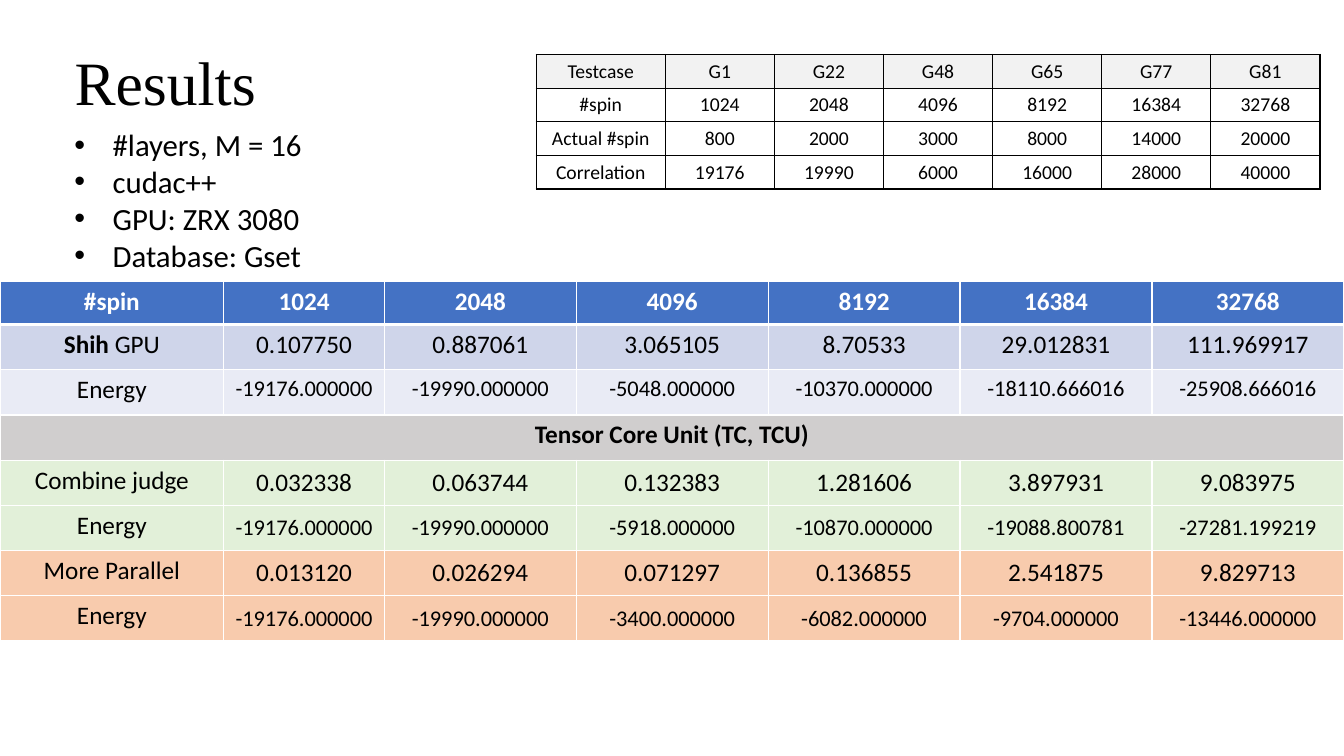
from pptx import Presentation
from pptx import util as u
from pptx.dml.color import RGBColor
from pptx.enum import text
from pptx.oxml import parse_xml
from pptx.oxml.ns import nsdecls

COLORS = {
    "black": "000000", "white": "FFFFFF", "header": "4472C4",
    "band": "CFD5EA", "pale_band": "E9EBF5", "grey": "D0CECE",
    "pale_grey": "F2F2F2", "green": "E2F0D9", "orange": "F8CBAD",
}
TOP, MIDDLE = text.MSO_ANCHOR.TOP, text.MSO_ANCHOR.MIDDLE
CENTER = text.PP_ALIGN.CENTER

SPINS = ["1024", "2048", "4096", "8192", "16384", "32768"]
TESTCASES = [
    ["Testcase", "G1", "G22", "G48", "G65", "G77", "G81"],
    ["#spin"] + SPINS,
    ["Actual #spin", "800", "2000", "3000", "8000", "14000", "20000"],
    ["Correlation", "19176", "19990", "6000", "16000", "28000", "40000"],
]
# Row values, fill, size of the numbers, anchor of the numbers
RESULTS = [
    (["GPU", "0.107750", "0.887061", "3.065105", "8.70533", "29.012831",
      "111.969917"], "band", 18, TOP),
    (["Energy", "-19176.000000", "-19990.000000", "-5048.000000",
      "-10370.000000", "-18110.666016", "-25908.666016"], "pale_band", 16, TOP),
    (["Tensor Core Unit (TC, TCU)"] + [""] * 6, "grey", 18, TOP),
    (["Combine judge", "0.032338", "0.063744", "0.132383", "1.281606",
      "3.897931", "9.083975"], "green", 18, MIDDLE),
    (["Energy", "-19176.000000", "-19990.000000", "-5918.000000",
      "-10870.000000", "-19088.800781", "-27281.199219"], "green", 16, MIDDLE),
    (["More Parallel", "0.013120", "0.026294", "0.071297", "0.136855",
      "2.541875", "9.829713"], "orange", 18, MIDDLE),
    (["Energy", "-19176.000000", "-19990.000000", "-3400.000000",
      "-6082.000000", "-9704.000000", "-13446.000000"], "orange", 16, MIDDLE),
]


def add_text(p, content, size=18, font="Calibri", color="black", bold=False):
    r = p.add_run()
    r.text = content
    r.font.size, r.font.name, r.font.bold = u.Pt(size), font, bold
    r.font.color.rgb = RGBColor.from_string(COLORS[color])


class Deck:
    """Builds one slide; all lengths are percentages of the slide's size."""

    def __init__(self):
        self.prs = Presentation()
        self.prs.slide_width, self.prs.slide_height = u.Inches(13.33), u.Inches(7.5)
        self.slide = self.prs.slides.add_slide(self.prs.slide_layouts[5])

    def x(self, share):
        return int(self.prs.slide_width * share / 100)

    def y(self, share):
        return int(self.prs.slide_height * share / 100)

    def box(self, left, top, width, height):
        return self.x(left), self.y(top), self.x(width), self.y(height)

    def title(self, content, *place):
        sp = self.slide.shapes.title
        sp.left, sp.top, sp.width, sp.height = self.box(*place)
        tf = sp.text_frame
        tf.auto_size = text.MSO_AUTO_SIZE.NONE
        tf.vertical_anchor = MIDDLE
        p = tf.paragraphs[0]
        p.alignment, p.line_spacing = text.PP_ALIGN.LEFT, 0.9
        add_text(p, content, size=44, font="Times New Roman")

    def bullets(self, items, *place):
        tf = self.slide.shapes.add_textbox(*self.box(*place)).text_frame
        tf.word_wrap = False
        tf.auto_size = text.MSO_AUTO_SIZE.SHAPE_TO_FIT_TEXT
        for i, item in enumerate(items):
            p = tf.add_paragraph() if i else tf.paragraphs[0]
            pPr = p._p.get_or_add_pPr()
            pPr.set("marL", str(u.Inches(0.38)))
            pPr.set("indent", str(u.Inches(-0.38)))
            pPr.append(parse_xml(f'<a:buFont {nsdecls("a")} typeface="Arial"/>'))
            pPr.append(parse_xml(f'<a:buChar {nsdecls("a")} char="•"/>'))
            add_text(p, item, size=22)

    def table(self, left, top, widths, heights):
        frame = self.slide.shapes.add_table(
            len(heights), len(widths),
            *self.box(left, top, sum(widths), sum(heights)))
        tbl = frame.table
        tbl.first_row = tbl.horz_banding = False
        for column, width in zip(tbl.columns, widths):
            column.width = self.x(width)
        for row, height in zip(tbl.rows, heights):
            row.height = self.y(height)
        return tbl

    def cell(self, cell, content, fill=None, border="white", bottom=1,
             anchor=MIDDLE, bold_lead="", **fmt):
        """Fill in one cell; bold_lead is bold text before the content."""
        tcPr = cell._tc.get_or_add_tcPr()
        for side in "LRTB":
            width = u.Pt(bottom if side == "B" else 1)
            tcPr.append(parse_xml(
                f'<a:ln{side} {nsdecls("a")} w="{width}"><a:solidFill>'
                f'<a:srgbClr val="{COLORS[border]}"/></a:solidFill></a:ln{side}>'))
        if fill:
            cell.fill.solid()
            cell.fill.fore_color.rgb = RGBColor.from_string(COLORS[fill])
        else:
            cell.fill.background()
        cell.vertical_anchor = anchor
        p = cell.text_frame.paragraphs[0]
        p.alignment = CENTER
        if bold_lead:
            add_text(p, bold_lead, **{**fmt, "bold": True})
        if content:
            add_text(p, content, **fmt)


def main():
    deck = Deck()
    deck.title("Results", 4.8, 1.6, 86.25, 19.33)
    deck.bullets(["#layers, M = 16", "cudac++", "GPU: ZRX 3080", "Database: Gset"],
                 4.8, 16, 18.6, 21.07)

    tbl = deck.table(39.9, 7.2, [9.6] + [8.12] * 6, [4.44] * 4)
    for i, row in enumerate(TESTCASES):
        for j, value in enumerate(row):
            deck.cell(tbl.cell(i, j), value, fill=None if i else "pale_grey",
                      border="black", size=14)

    tbl = deck.table(0, 37.2, [16.65, 11.95] + [14.28] * 5, [5.73] + [5.98] * 7)
    for j, value in enumerate(["#spin"] + SPINS):
        deck.cell(tbl.cell(0, j), value, fill="header", bottom=3, anchor=TOP,
                  color="white", bold=True)
    for i, (row, fill, size, anchor) in enumerate(RESULTS, 1):
        is_section = not row[1]
        for j, value in enumerate(row):
            cell = tbl.cell(i, j)
            deck.cell(cell, value, fill=fill, bold=is_section,
                      size=size if j else 18, anchor=anchor if j else TOP,
                      bold_lead="Shih " if value == "GPU" else "")
            if j and anchor == MIDDLE and j < 5:
                cell.margin_left = cell.margin_right = u.Inches(0.05)
                cell.margin_top = cell.margin_bottom = 0
        if is_section:
            tbl.cell(i, 0).merge(tbl.cell(i, len(row) - 1))

    deck.prs.save("out.pptx")


if __name__ == "__main__":
    main()
